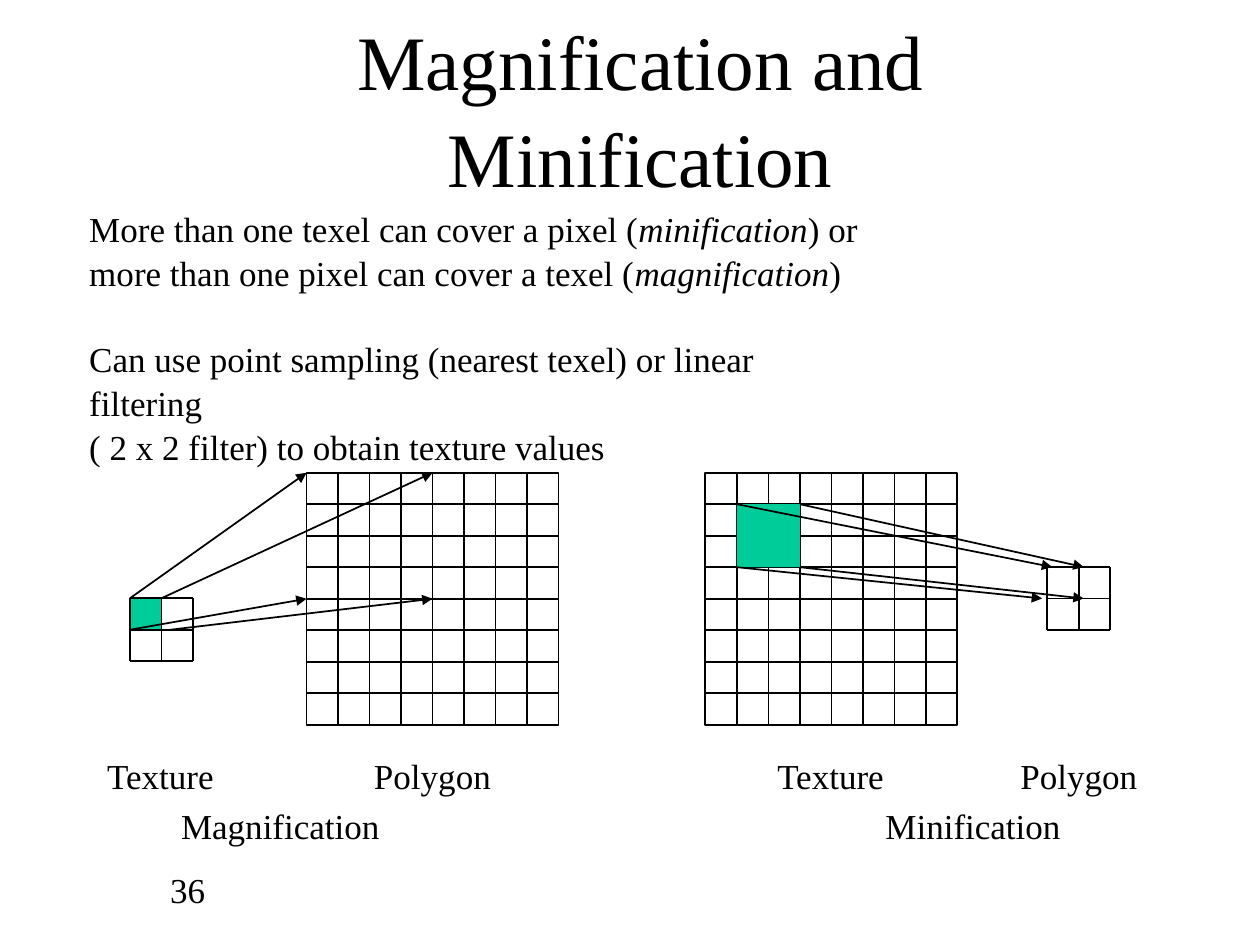
from lxml import etree
from pptx import Presentation
from pptx.dml.color import RGBColor
from pptx.enum import shapes, text
from pptx.oxml import ns
from pptx.util import Cm, Pt

BLACK = RGBColor(0x00, 0x00, 0x00)
GREEN = RGBColor(0x00, 0xCC, 0x99)
FONT = "Times New Roman"
LINE_SPACING = 1.05
CELL = 5.08 / 8  # cm

TITLE = "Magnification and Minification"
# Each line: runs of (text, italic), then space before in points
BODY = [
    ([("More than one texel can cover a pixel (", False),
      ("minification", True), (") or", False)], 0),
    ([("more than one pixel can cover a texel (", False),
      ("magnification", True), (")", False)], 0),
    ([("Can use point sampling (nearest texel) or linear filtering", False)], 24),
    ([("( 2 x 2 filter) to obtain texture values", False)], 0),
]
# Text, left, top, width in cm
LABELS = [
    ("Texture", 1.91, 15.04, 2.72),
    ("Polygon", 7.29, 15.04, 2.87),
    ("Magnification", 3.4, 16.05, 4.52),
    ("Texture", 15.42, 15.04, 2.72),
    ("Polygon", 20.32, 15.04, 2.87),
    ("Minification", 17.6, 16.05, 4.04),
]
# Left and top in cm, cells a side, outlined by a rectangle
GRIDS = {
    "magnified texture": (2.62, 12.06, 2, False),
    "magnified polygon": (6.18, 9.53, 8, True),
    "minified texture": (14.22, 9.53, 8, True),
    "minified polygon": (21.11, 11.43, 2, False),
}
# Grid pair, then arrows as (column, row) in the texture to (column, row) in the polygon
MAPPINGS = [
    ("magnified texture", "magnified polygon", [
        ((0, 0), (0, 0)), ((1, 0), (4, 0)), ((0, 1), (0, 4)), ((1.28, 1), (4, 4))]),
    ("minified texture", "minified polygon", [
        ((3, 1), (1.16, 0)), ((3, 3), (1.16, 1)),
        ((1, 1), (0.16, 0)), ((1, 3), (-0.16, 1))]),
]


def grid_point(grid, col, row):
    left, top = GRIDS[grid][:2]
    return Cm(left + col * CELL), Cm(top + row * CELL)


def add_run(p, words, size, italic=False):
    r = p.add_run()
    r.text = words
    r.font.name = FONT
    r.font.size = Pt(size)
    r.font.italic = italic
    r.font.color.rgb = BLACK


def add_text(s, lines, left, top, width, height, wrap=False):
    tf = s.shapes.add_textbox(Cm(left), Cm(top), Cm(width), Cm(height)).text_frame
    tf.word_wrap = wrap
    for i, (runs, space) in enumerate(lines):
        p = tf.add_paragraph() if i else tf.paragraphs[0]
        p.line_spacing = LINE_SPACING
        if space:
            p.space_before = Pt(space)
        for words, italic in runs:
            add_run(p, words, 20, italic)
    return tf


def add_line(s, start, end, arrow=False):
    line = s.shapes.add_connector(shapes.MSO_CONNECTOR.STRAIGHT, *start, *end)
    line.line.color.rgb = BLACK
    line.line.width = Pt(1)
    if arrow:
        etree.SubElement(line.line._get_or_add_ln(), ns.qn("a:tailEnd"), type="triangle")
    etree.SubElement(line._element.spPr, ns.qn("a:effectLst"))
    return line


def add_square(s, grid, col, row, cells):
    side = Cm(cells * CELL)
    sp = s.shapes.add_shape(shapes.MSO_SHAPE.RECTANGLE,
                            *grid_point(grid, col, row), side, side)
    sp.shadow.inherit = False
    return sp


def add_shade(s, grid, col, row, cells):
    sp = add_square(s, grid, col, row, cells)
    sp.fill.solid()
    sp.fill.fore_color.rgb = GREEN
    sp.line.fill.background()


def add_grid(s, grid):
    """Draw one grid and return its outline rectangle, if it has one."""
    n, outlined = GRIDS[grid][2:]
    outline = None
    if outlined:
        outline = add_square(s, grid, 0, 0, n)
        outline.fill.background()
        outline.line.color.rgb = BLACK
        outline.line.width = Pt(1)
    for k in range(1, n) if outlined else range(n + 1):
        across = add_line(s, grid_point(grid, 0, k), grid_point(grid, n, k))
        down = add_line(s, grid_point(grid, k, 0), grid_point(grid, k, n))
        if outline and 2 * k == n:
            across.begin_connect(outline, 1)
            across.end_connect(outline, 3)
            down.begin_connect(outline, 0)
            down.end_connect(outline, 2)
    return outline


def main():
    prs = Presentation()
    prs.slide_width, prs.slide_height = Cm(25.4), Cm(19.05)
    s = prs.slides.add_slide(prs.slide_layouts[5])

    title = s.shapes.title
    title.left, title.top = Cm(3.81), Cm(0.64)
    title.width, title.height = Cm(18.21), Cm(2.97)
    tf = title.text_frame
    tf.auto_size = text.MSO_AUTO_SIZE.NONE
    tf.vertical_anchor = text.MSO_ANCHOR.MIDDLE
    p = tf.paragraphs[0]
    p.alignment = text.PP_ALIGN.CENTER
    p.line_spacing = LINE_SPACING
    add_run(p, TITLE, 44)

    add_shade(s, "magnified texture", 0, 0, 1)
    outlines = {grid: add_grid(s, grid) for grid in GRIDS}
    add_shade(s, "minified texture", 1, 1, 2)

    for texture, polygon, arrows in MAPPINGS:
        n = GRIDS[polygon][2]
        for start, end in arrows:
            arrow = add_line(s, grid_point(texture, *start),
                             grid_point(polygon, *end), arrow=True)
            if outlines[polygon] and end == (0, n / 2):
                arrow.end_connect(outlines[polygon], 1)

    for words, left, top, width in LABELS:
        add_text(s, [([(words, False)], 0)], left, top, width, 1.09)
    add_text(s, BODY, 1.55, 4.01, 16.36, 5.33)
    number = add_text(s, [([("36", False)], 0)], 1.91, 17.35, 5.28, 1.27, wrap=True)
    number.margin_left = Cm(1.52)

    prs.save("out.pptx")


if __name__ == "__main__":
    main()
